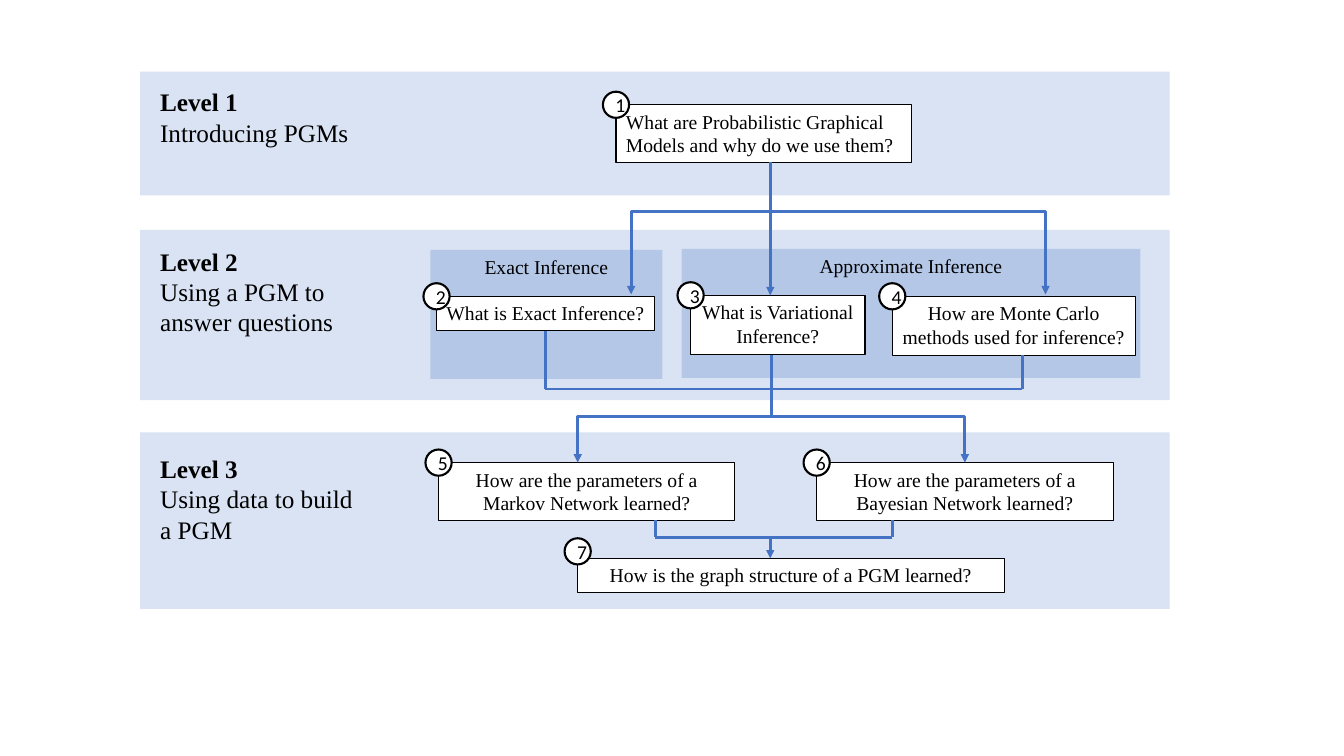
from collections import namedtuple
from dataclasses import dataclass

from lxml import etree
from pptx import Presentation
from pptx import util as u
from pptx.dml.color import RGBColor
from pptx.enum import shapes, text
from pptx.oxml.ns import qn

PX = 9144  # EMU per px: 100 px to the inch
BOTTOM = 2  # connection site of a rectangle

Box = namedtuple("Box", "left top width height")


@dataclass(frozen=True)
class Theme:
    band: RGBColor = RGBColor(0xDA, 0xE3, 0xF3)
    group: RGBColor = RGBColor(0xB4, 0xC7, 0xE7)
    paper: RGBColor = RGBColor(0xFF, 0xFF, 0xFF)
    ink: RGBColor = RGBColor(0, 0, 0)
    arrow: RGBColor = RGBColor(0x44, 0x72, 0xC4)
    body_font: str = "Times New Roman"
    badge_font: str = "Calibri"
    level_size: int = 18
    body_size: int = 14
    box_line: float = 0.75
    badge_line: float = 1.5
    arrow_line: float = 2


THEME = Theme()
LEFT, CENTER = text.PP_ALIGN.LEFT, text.PP_ALIGN.CENTER


def emu(*lengths):
    return [u.Emu(length * PX) for length in lengths]


def inside(outer, box):
    return Box(outer.left + box.left, outer.top + box.top, box.width, box.height)


def set_font(paragraph, name, size):
    paragraph.font.name = name
    paragraph.font.size = u.Pt(size)
    paragraph.font.color.rgb = THEME.ink


def add_block(slide, box, fill, line=None, words="", align=CENTER, wrap=True,
              kind=shapes.MSO_SHAPE.RECTANGLE, font=THEME.body_font,
              anchor=text.MSO_ANCHOR.TOP):
    shape = slide.shapes.add_shape(kind, *emu(*box))
    shape.shadow.inherit = False
    shape.fill.solid()
    shape.fill.fore_color.rgb = fill
    if line:
        shape.line.color.rgb = THEME.ink
        shape.line.width = u.Pt(line)
    else:
        shape.line.fill.background()
    if words:
        frame = shape.text_frame
        frame.word_wrap = wrap
        frame.vertical_anchor = anchor
        paragraph = frame.paragraphs[0]
        paragraph.text = words
        paragraph.alignment = align
        set_font(paragraph, font, THEME.body_size)
    return shape


# Level band with its heading
def add_level(slide, band, heading, title, subtitle):
    add_block(slide, band, THEME.band)
    label = slide.shapes.add_textbox(*emu(*inside(band, heading)))
    label.text_frame.word_wrap = True
    paragraph = label.text_frame.paragraphs[0]
    set_font(paragraph, THEME.body_font, THEME.level_size)
    title_run = paragraph.add_run()
    title_run.text = title
    title_run.font.bold = True
    paragraph.add_line_break()
    paragraph.add_run().text = subtitle


# Question box with its numbered badge at the top left corner
def add_question(slide, box, number, words, align=CENTER, wrap=True, rise=13):
    question = add_block(slide, box, THEME.paper, THEME.box_line, words, align, wrap)
    badge = Box(box.left - 13, box.top - rise, 26, 26)
    add_block(slide, badge, THEME.paper, THEME.badge_line, str(number),
              kind=shapes.MSO_SHAPE.OVAL, font=THEME.badge_font,
              anchor=text.MSO_ANCHOR.MIDDLE)
    return question


def add_link(slide, start, end, bent=False, arrow=False, width=THEME.arrow_line):
    kind = shapes.MSO_CONNECTOR.ELBOW if bent else shapes.MSO_CONNECTOR.STRAIGHT
    link = slide.shapes.add_connector(kind, *emu(*start, *end))
    link.line.color.rgb = THEME.arrow
    link.line.width = u.Pt(width)
    properties = link._element.spPr
    if bent:  # one corner only: across, then down
        properties.find(qn("a:prstGeom")).set("prst", "bentConnector2")
    if arrow:
        line = properties.find(qn("a:ln"))
        etree.SubElement(line, qn("a:tailEnd")).set("type", "triangle")
    etree.SubElement(properties, qn("a:effectLst"))
    return link


# Two arrows from a trunk to the lower corners of the box
def add_fork(slide, box, trunk):
    for x in (box.left, box.left + box.width):
        add_link(slide, (trunk, box.top), (x, box.top + box.height),
                 bent=True, arrow=True)


# Stems, given as (x, top), that run down to a shared bar
def add_collector(slide, stems, bar):
    links = [add_link(slide, (x, top), (x, bar)) for x, top in stems]
    add_link(slide, (stems[-1][0], bar), (stems[0][0], bar))
    return links


def add_introduction(slide, band):
    add_level(slide, band, Box(10, 10, 303, 71), "Level 1", "Introducing PGMs")
    add_question(slide, inside(band, Box(472, 33, 293, 57)), 1,
                 "What are Probabilistic Graphical Models and why do we use them?",
                 align=LEFT)


def add_inference(slide, band):
    add_level(slide, band, Box(10, 11, 253, 101), "Level 2",
              "Using a PGM to answer questions")
    for box, words in ((Box(288, 20, 230, 128), "Exact Inference"),
                       (Box(537, 19, 455, 128), "Approximate Inference")):
        add_block(slide, inside(band, box), THEME.group, words=words)
    exact = add_question(slide, inside(band, Box(294, 66, 216, 34)), 2,
                         "What is Exact Inference?", align=LEFT, wrap=False)
    add_question(slide, inside(band, Box(546, 65, 173, 59)), 3,
                 "What is Variational Inference?")
    add_question(slide, inside(band, Box(746, 66, 241, 59)), 4,
                 "How are Monte Carlo methods used for inference?")
    return exact


def add_learning(slide, band):
    add_level(slide, band, Box(10, 16, 219, 101), "Level 3",
              "Using data to build a PGM")
    for index, network in enumerate(("Markov", "Bayesian")):
        add_question(slide, inside(band, Box(296 + 375 * index, 30, 294, 57)), 5 + index,
                     f"How are the parameters of a {network} Network learned?")
    add_question(slide, inside(band, Box(434, 125, 423, 34)), 7,
                 "How is the graph structure of a PGM learned?", rise=20)


# Arrows between the levels
def add_flow(slide, exact):
    trunk = 764
    add_link(slide, (trunk, 161), (trunk, 293), arrow=True)
    add_fork(slide, Box(626, 210, 411, 82), trunk)
    add_fork(slide, Box(573, 413, 384, 46), trunk)
    stems = add_collector(slide, ((541, 328), (765, 352), (1014, 352)), 386)
    stems[0].begin_connect(exact, BOTTOM)
    add_link(slide, (765, 386), (765, 413))
    add_collector(slide, ((650, 516), (885, 516)), 533)
    add_link(slide, (trunk, 533), (trunk, 554), arrow=True, width=1.75)


def main():
    presentation = Presentation()
    presentation.slide_width, presentation.slide_height = emu(1333, 750)
    slide = presentation.slides.add_slide(presentation.slide_layouts[6])
    add_introduction(slide, Box(139, 71, 1021, 123))
    exact = add_inference(slide, Box(139, 228, 1021, 169))
    add_learning(slide, Box(139, 429, 1021, 175))
    add_flow(slide, exact)
    presentation.save("out.pptx")


if __name__ == "__main__":
    main()
